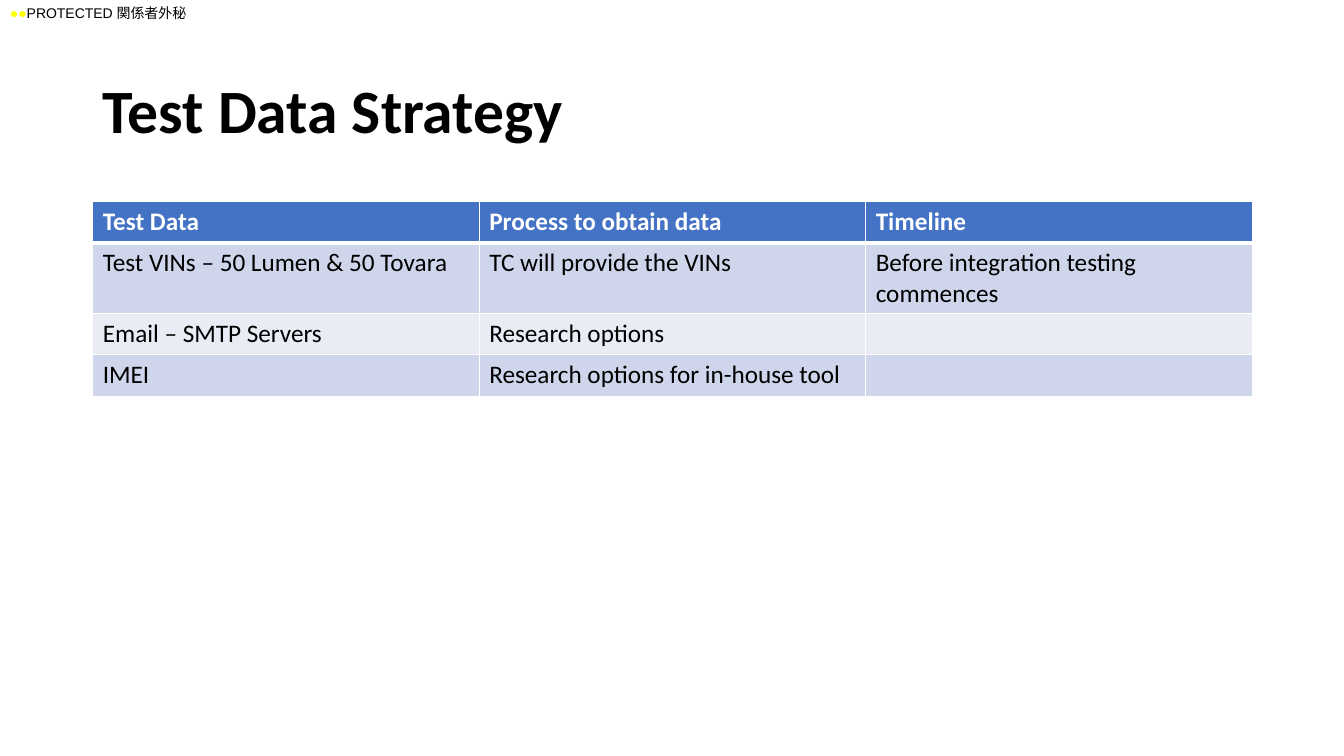
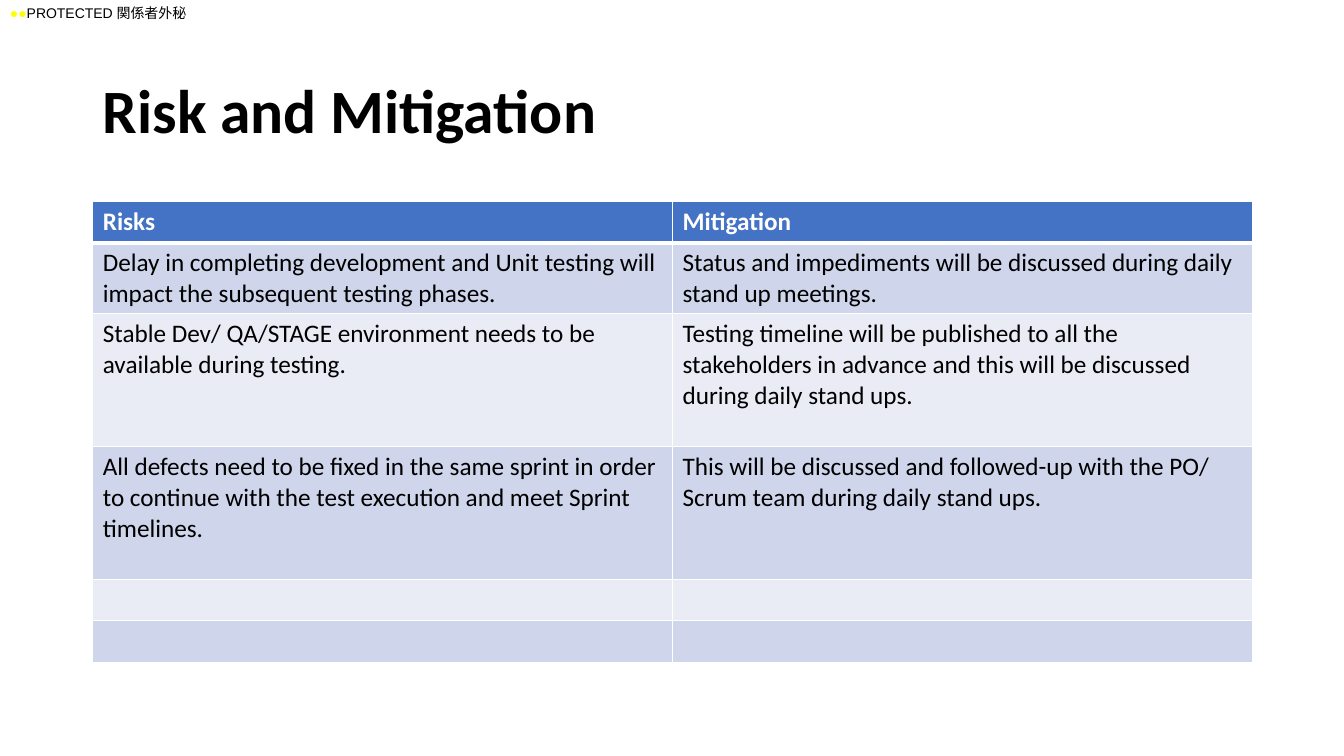
from lxml import etree
from pptx import Presentation
from pptx.dml.color import RGBColor
from pptx.enum.text import MSO_ANCHOR, PP_ALIGN
from pptx.oxml.ns import qn
from pptx.util import Inches, Pt

LEFT, MIDDLE = PP_ALIGN.LEFT, MSO_ANCHOR.MIDDLE

# Content: title, row heights in inches, table rows (header first)
SLIDES = [
    ("Test Data Strategy", [0.41, 0.7, 0.41, 0.41], [
        ("Test Data", "Process to obtain data", "Timeline"),
        ("Test VINs – 50 Lumen & 50 Tovara", "TC will provide the VINs",
         "Before integration testing commences"),
        ("Email – SMTP Servers", "Research options", ""),
        ("IMEI", "Research options for in-house tool", ""),
    ]),
    ("Risk and Mitigation", [0.41, 0.7, 1.32, 1.32, 0.41, 0.41], [
        ("Risks", "Mitigation"),
        ("Delay in completing development and Unit testing will impact the "
         "subsequent testing phases.",
         "Status and impediments will be discussed during daily stand up meetings."),
        ("Stable Dev/ QA/STAGE environment needs to be available during testing.",
         "Testing timeline will be published to all the stakeholders in advance "
         "and this will be discussed during daily stand ups."),
        ("All defects need to be fixed in the same sprint in order to continue "
         "with the test execution and meet Sprint timelines.",
         "This will be discussed and followed-up with the PO/ Scrum team during "
         "daily stand ups."),
        ("", ""),
        ("", ""),
    ]),
]

# Shared style
WHITE, BLACK, YELLOW = "FFFFFF", "000000", "FFFF00"
HEADER_FILL, BANDS = "4472C4", ("E9EBF5", "CFD5EA")
MARGIN, CONTENT_W = 0.92, 11.5
TITLE_FONT = {"name": "Calibri", "size": Pt(44), "bold": True}
HEADER_FONT = {"name": "Calibri", "size": Pt(18), "bold": True}
BODY_FONT = {**HEADER_FONT, "bold": False}
LABEL_FONT = {"name": "Arial", "size": Pt(10)}
LABEL = [("●●", YELLOW, True), ("PROTECTED 関係者外秘", BLACK, False)]


def rgb(value):
    return RGBColor.from_string(value)


def style(font, color, values):
    for key, value in values.items():
        setattr(font, key, value)
    font.color.rgb = rgb(color)


def add_label(s):
    tf = s.shapes.add_textbox(0, 0, Inches(13.33), Inches(0.27)).text_frame
    tf.word_wrap = True
    for text, color, bold in LABEL:
        r = tf.paragraphs[0].add_run()
        r.text = text
        style(r.font, color, {**LABEL_FONT, "bold": bold})


def add_title(s, text):
    sp = s.shapes.title
    sp.left, sp.top, sp.width, sp.height = map(Inches, (MARGIN, 0.4, CONTENT_W, 1.45))
    tf = sp.text_frame
    tf.text = text
    tf.vertical_anchor = MIDDLE
    p = tf.paragraphs[0]
    p.alignment, p.line_spacing = LEFT, 0.9
    style(p.runs[0].font, BLACK, TITLE_FONT)


def add_borders(cell, top, bottom):
    tc_pr = cell._tc.get_or_add_tcPr()
    for side, points in (("L", 1), ("R", 1), ("T", top), ("B", bottom)):
        ln = etree.SubElement(tc_pr, qn("a:ln" + side), w=str(Pt(points)))
        fill = etree.SubElement(ln, qn("a:solidFill"))
        etree.SubElement(fill, qn("a:srgbClr"), val=WHITE)


def add_grid(s, heights, rows):
    columns = len(rows[0])
    table = s.shapes.add_table(len(rows), columns, Inches(MARGIN), Inches(2),
                               Inches(CONTENT_W), Inches(sum(heights))).table
    for i, (height, texts) in enumerate(zip(heights, rows)):
        table.rows[i].height = Inches(height)
        header = i == 0
        for j, text in enumerate(texts):
            cell = table.cell(i, j)
            # The heavy rule lies between the header and the first body row
            add_borders(cell, top=3 if i == 1 else 1, bottom=3 if header else 1)
            cell.fill.solid()
            cell.fill.fore_color.rgb = rgb(HEADER_FILL if header else BANDS[i % 2])
            cell.text = text
            style(cell.text_frame.paragraphs[0].font, WHITE if header else BLACK,
                  HEADER_FONT if header else BODY_FONT)


# Build the slides
prs = Presentation()
prs.slide_width, prs.slide_height = Inches(13.33), Inches(7.5)
title_only = prs.slide_layouts[5]
for title, heights, rows in SLIDES:
    s = prs.slides.add_slide(title_only)
    add_label(s)
    add_title(s, title)
    add_grid(s, heights, rows)
prs.save("out.pptx")
